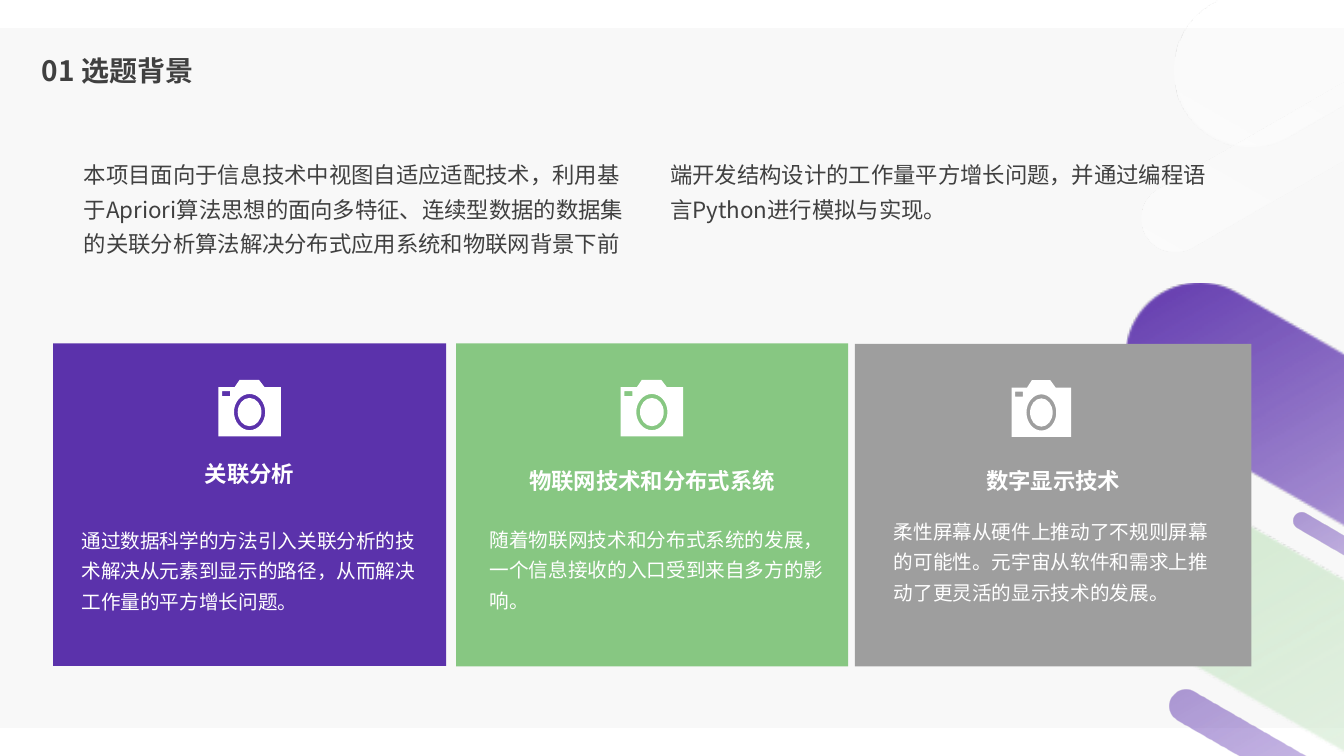
from lxml.etree import SubElement
from pptx import Presentation
from pptx.dml.color import RGBColor
from pptx.enum.shapes import MSO_SHAPE
from pptx.enum.text import MSO_ANCHOR, MSO_AUTO_SIZE, PP_ALIGN
from pptx.oxml.ns import qn
from pptx.util import Pt

COLOURS = {
    "band": "F8F8F8", "ink": "404040", "white": "FFFFFF",
    "purple": "5B32AB", "violet": "5F34B2", "green": "87C782",
    "mint": "D0E9CE", "grey": "9E9E9E",
}
BODY_FONT = "Noto Sans CJK SC"
HEADING_FONT = "TeX Gyre Adventor"
ROUND = 0.55  # handle length of a quarter circle with radius 1

# Gradient stops: position, colour, opacity (all in percent)
WHITE_END = [(85, "white", 50), (100, "white", 50)]
PURPLE_FADE = [(0, "purple", 100), (23, "violet", 40)] + WHITE_END
PALE_PURPLE_FADE = [(0, "purple", 50), (23, "violet", 40)] + WHITE_END
MINT_FADE = [(0, "mint", 100), (22, "mint", 50)] + WHITE_END
WHITE_FADE = [(0, "white", 50), (21, "white", 29), (85, "white", 0), (100, "white", 0)]

# Box before rotation, whether the bar falls to the right, gradient
BARS = [
    ((712.8, 545.8, 1479.6, 105.8), True, PURPLE_FADE),
    ((789.1, -190.8, 854.6, 108.7), False, WHITE_FADE),
    ((793.4, 49, 379.4, 48.2), False, WHITE_FADE),
    ((697, 698.4, 1479.6, 105.8), True, MINT_FADE),
    ((913, 406.8, 175.7, 12.2), True, PALE_PURPLE_FADE),
    ((814.3, 571, 337.7, 23.8), True, PALE_PURPLE_FADE),
]

# Card box, colour, camera (shift from centre, width), heading top,
# body box relative to the card (left, top, width), heading, body
CARDS = [
    ((37.9, 245.3, 280.8, 230.4), "purple", (0, 44.6), 74.4, (13.2, 123.6, 254.2),
     "关联分析",
     "通过数据科学的方法引入关联分析的技术解决从元素到显示的路径，从而解决工作量的平方增长问题。"),
    ((325.8, 245.3, 280.1, 230.8), "green", (-0.2, 44.6), 79.4, (16.9, 123.1, 253.4),
     "物联网技术和分布式系统",
     "随着物联网技术和分布式系统的发展，一个信息接收的入口受到来自多方的影响。"),
    ((610.6, 245.6, 283.3, 230.4), "grey", (-8.4, 42.5), 78.8, (20.8, 117, 240.5),
     "数字显示技术",
     "柔性屏幕从硬件上推动了不规则屏幕的可能性。元宇宙从软件和需求上推动了更灵活的显示技术的发展。"),
]


def colour(name):
    return RGBColor.from_string(COLOURS[name])


def paint(shape, fill):
    shape.shadow.inherit = False
    shape.line.fill.background()
    shape.fill.solid()
    shape.fill.fore_color.rgb = colour(fill)


def add_rectangle(slide, box, fill):
    paint(slide.shapes.add_shape(MSO_SHAPE.RECTANGLE, *map(Pt, box)), fill)


def add_outline(slide, box, contours, fill):
    """Draw contours given in fractions of the box; a step is [point] or a curve's three points."""
    left, top, width, height = box
    contours = [[[(Pt(left + x * width), Pt(top + y * height)) for x, y in step]
                 for step in contour] for contour in contours]
    builder = slide.shapes.build_freeform(*contours[0][0][-1])
    for number, contour in enumerate(contours):
        if number:
            builder.move_to(*contour[0][-1])
        builder.add_line_segments([step[-1] for step in contour[1:]], close=True)
    shape = builder.convert_to_shape()
    paint(shape, fill)
    steps = [step for contour in contours for step in contour[1:]]
    lines = list(shape._element.spPr.iter(qn("a:lnTo")))
    for line, step in zip(lines, steps):
        if len(step) == 3:
            parent = line.getparent()
            curve = SubElement(parent, qn("a:cubicBezTo"))
            for x, y in step:
                SubElement(curve, qn("a:pt"), x=str(x - shape.left), y=str(y - shape.top))
            parent.replace(line, curve)
    return shape


def quarters(x, y, radius_x, radius_y, count):
    """Quarter arcs that run from the top through the left side."""
    turns = [(0, -1), (-1, 0), (0, 1), (1, 0), (0, -1)]

    def place(across, down):
        return x + across * radius_x, y + down * radius_y

    steps = [[place(*turns[0])]]
    for (x1, y1), (x2, y2) in zip(turns[:count], turns[1:]):
        steps.append([place(x1 + ROUND * x2, y1 + ROUND * y2),
                      place(x2 + ROUND * x1, y2 + ROUND * y1), place(x2, y2)])
    return steps


def add_bar(slide, box, falling, stops):
    """Slanted bar, round at its left end, with a fading gradient."""
    width, height = box[2:]
    radius = height / width / 2
    cap = quarters(radius, 0.5, radius, 0.5, 2)
    bar = add_outline(slide, box, [cap + [[(1, 1)], [(1, 0)]]], "white")
    bar.rotation = 210 if falling else 330
    properties = bar._element.spPr
    if falling:
        properties.find(qn("a:xfrm")).set("flipH", "1")
    bar.fill.gradient()
    bar.fill.gradient_angle = 30
    stop_list = properties.find(qn("a:gradFill")).find(qn("a:gsLst"))
    for old_stop in list(stop_list):
        stop_list.remove(old_stop)
    for position, name, opacity in stops:
        stop = SubElement(stop_list, qn("a:gs"), pos=str(position * 1000))
        tint = SubElement(stop, qn("a:srgbClr"), val=COLOURS[name])
        SubElement(tint, qn("a:alpha"), val=str(opacity * 1000))


def add_text(slide, box, text, size, ink, font=BODY_FONT, bold=False, spacing=1.3):
    shape = slide.shapes.add_textbox(*map(Pt, box))
    frame = shape.text_frame
    frame.word_wrap = True
    frame.auto_size = MSO_AUTO_SIZE.SHAPE_TO_FIT_TEXT
    para = frame.paragraphs[0]
    para.line_spacing = spacing
    span = para.add_run()
    span.text = text
    span.font.size = Pt(size)
    span.font.bold = bold
    span.font.color.rgb = colour(ink)
    span.font.name = font
    SubElement(span.font._element, qn("a:ea"), typeface=font)
    return frame


def add_title(slide, box):
    frame = add_text(slide, box, "01 选题背景", 20, "ink", bold=True, spacing=0.9)
    frame.auto_size = MSO_AUTO_SIZE.NONE
    frame.vertical_anchor = MSO_ANCHOR.MIDDLE
    frame.paragraphs[0].space_before = Pt(10)


def add_introduction(slide, box):
    frame = add_text(
        slide, box,
        "本项目面向于信息技术中视图自适应适配技术，利用基于Apriori算法思想的面向多特征、"
        "连续型数据的数据集的关联分析算法解决分布式应用系统和物联网背景下前端开发结构设计的"
        "工作量平方增长问题，并通过编程语言Python进行模拟与实现。",
        16, "ink")
    columns = frame._txBody.bodyPr
    columns.set("numCol", "2")
    columns.set("spcCol", str(Pt(28.1)))


def add_camera(slide, box):
    left, top, width, height = box
    body = [(0.74, 0.13), (0.65, 0), (0.34, 0), (0.26, 0.13),
            (0, 0.13), (0, 1), (1, 1), (1, 0.13)]
    flash = [(0.19, 0.29), (0.06, 0.29), (0.06, 0.2), (0.19, 0.2)]
    corners = [[[point] for point in contour] for contour in (flash, body)]
    add_outline(slide, box, [quarters(0.5, 0.57, 0.25, 0.32, 4)] + corners, "white")
    lens_box = (left + 0.31 * width, top + 0.32 * height, 0.38 * width, 0.5 * height)
    add_outline(slide, lens_box, [quarters(0.5, 0.5, 0.5, 0.5, 4)], "white")


def add_card(slide, box, fill, camera, heading_top, body_box, heading, body):
    left, top, width, height = box
    add_rectangle(slide, box, fill)
    shift, camera_width = camera
    camera_left = left + (width - camera_width) / 2 + shift
    add_camera(slide, (camera_left, top + 26, camera_width, 40.4))
    body_left, body_top, body_width = body_box
    add_text(slide, (left + body_left, top + body_top, body_width, 71.3), body, 14, "white")
    heading_width = 16 * len(heading) + 19
    heading_left = left + (width - heading_width) / 2
    frame = add_text(slide, (heading_left, top + heading_top, heading_width, 37.4),
                     heading, 16, "white", HEADING_FONT, bold=True)
    frame.word_wrap = False
    frame.paragraphs[0].alignment = PP_ALIGN.CENTER


def main():
    deck = Presentation()
    deck.slide_width, deck.slide_height = Pt(960), Pt(540)
    slide = deck.slides.add_slide(deck.slide_layouts[6])
    add_rectangle(slide, (0, 20, 960, 500), "band")
    for bar in BARS:
        add_bar(slide, *bar)
    add_title(slide, (22.7, 31, 359.3, 41.8))
    for card in CARDS:
        add_card(slide, *card)
    add_introduction(slide, (52.8, 105.5, 823.9, 82.8))
    deck.save("out.pptx")


if __name__ == "__main__":
    main()
